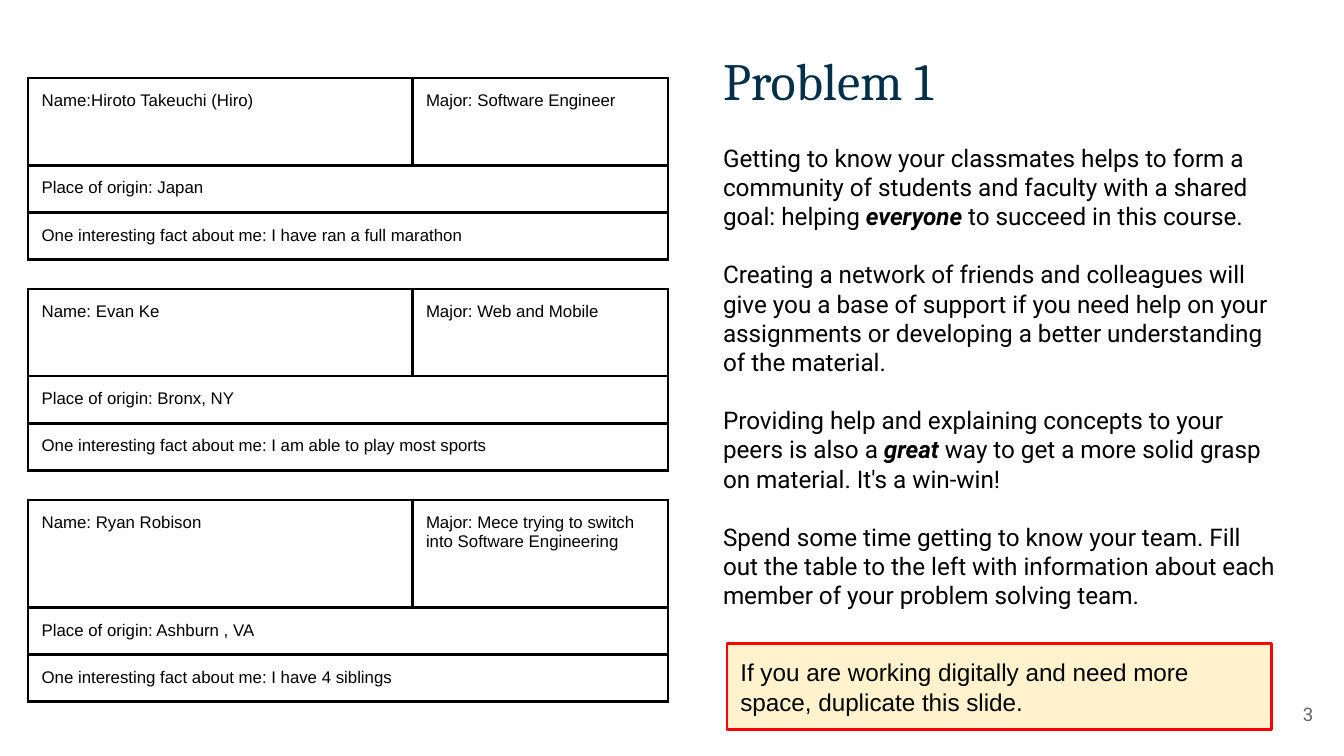
from lxml.etree import SubElement as Sub
from pptx import Presentation
from pptx.dml.color import RGBColor
from pptx.enum.shapes import MSO_SHAPE as Shape
from pptx.enum.text import MSO_ANCHOR as Anchor, MSO_AUTO_SIZE as Auto, PP_ALIGN as Align
from pptx.oxml.ns import qn
from pptx.util import Inches, Pt

BLACK = RGBColor(0, 0, 0)
NAVY = RGBColor(0x00, 0x2F, 0x4A)
GRAY = RGBColor(0x66, 0x66, 0x66)
CREAM = RGBColor(0xFF, 0xF2, 0xCC)
RED = RGBColor(0xFF, 0, 0)

WIDTH = 10
PAD = Inches(0.1)
GAP = 0.22
LINE = 0.35
TEAM = [
    (0.65, "Name:Hiroto Takeuchi (Hiro)", "Major: Software Engineer",
     "Place of origin: Japan",
     "One interesting fact about me: I have ran a full marathon"),
    (0.65, "Name: Evan Ke", "Major: Web and Mobile",
     "Place of origin: Bronx, NY",
     "One interesting fact about me: I am able to play most sports"),
    (0.8, "Name: Ryan Robison", "Major: Mece trying to switch into Software Engineering",
     "Place of origin: Ashburn , VA",
     "One interesting fact about me: I have 4 siblings"),
]
BODY = [
    ["Getting to know your classmates helps to form a community of students and "
     "faculty with a shared goal: helping ", "everyone", " to succeed in this course."],
    ["Creating a network of friends and colleagues will give you a base of support if "
     "you need help on your assignments or developing a better understanding of the material."],
    ["Providing help and explaining concepts to your peers is also a ", "great",
     " way to get a more solid grasp on material. It's a win-win!"],
    ["Spend some time getting to know your team. Fill out the table to the left with "
     "information about each member of your problem solving team."],
]


def place(shape, x, y, w, h):
    shape.left, shape.top = Inches(x), Inches(y)
    shape.width, shape.height = Inches(w), Inches(h)


def set_frame(frame, anchor):
    frame.word_wrap = True
    frame.auto_size = Auto.NONE
    frame.vertical_anchor = anchor
    frame.margin_left = frame.margin_right = PAD
    frame.margin_top = frame.margin_bottom = PAD


def add_run(para, text, size, face, color, strong=False):
    run = para.add_run()
    run.text = text
    font = run.font
    font.size, font.name = Pt(size), face
    font.color.rgb = color
    font.bold = font.italic = strong


def add_title(slide):
    title = slide.shapes.title
    place(title, 5.28, 0.26, 4.32, 0.7)
    set_frame(title.text_frame, Anchor.TOP)
    para = title.text_frame.paragraphs[0]
    para.alignment = Align.LEFT
    add_run(para, "Problem 1", 28, "Cambria", NAVY)


def add_body(slide):
    body = slide.placeholders[1]
    place(body, 5.28, 0.95, 4.32, 3.7)
    frame = body.text_frame
    set_frame(frame, Anchor.MIDDLE)
    for i, parts in enumerate(BODY):
        para = frame.add_paragraph() if i else frame.paragraphs[0]
        para.space_before = Pt(15.6 if i else 0)
        props = para._p.get_or_add_pPr()
        props.set("marL", "0")
        props.set("indent", "0")
        Sub(props, qn("a:buNone"))
        for j, text in enumerate(parts):
            add_run(para, text, 13, "Roboto", BLACK, j == 1)


def set_edges(cell, drawn):
    props = cell._tc.get_or_add_tcPr()
    for i, side in enumerate("LRTB"):
        edge = Sub(props, qn("a:ln" + side), w=str(Pt(1.5)))
        props.insert(i, edge)
        if side in drawn:
            fill = Sub(edge, qn("a:solidFill"))
            Sub(fill, qn("a:srgbClr"), val=str(BLACK))
        else:
            Sub(edge, qn("a:noFill"))


def fill_row(table, i, height, texts):
    table.rows[i].height = Inches(height)
    cells = [table.cell(i, j) for j in range(2)]
    for cell in cells:
        cell.fill.background()
        cell.margin_left = cell.margin_right = PAD
        cell.margin_top = cell.margin_bottom = PAD if texts else 0
        set_edges(cell, "LRTB" if texts else "TB")
        if not texts:
            Sub(cell.text_frame.paragraphs[0]._p, qn("a:endParaRPr"), sz="900")
    if len(texts) < 2:
        cells[0].merge(cells[1])
    for cell, text in zip(cells, texts):
        add_run(cell.text_frame.paragraphs[0], text, 9, "Arial", BLACK)


def add_team(slide):
    rows = []
    for tall, name, major, origin, fact in TEAM:
        if rows:
            rows.append((GAP, []))
        rows += [(tall, [name, major]), (LINE, [origin]), (LINE, [fact])]
    total = sum(height for height, _ in rows)
    table = slide.shapes.add_table(len(rows), 2, Inches(0.21), Inches(0.58),
                                   Inches(4.76), Inches(total)).table
    table.first_row = table.horz_banding = False
    for col, width in zip(table.columns, (2.86, 1.9)):
        col.width = Inches(width)
    for i, (height, texts) in enumerate(rows):
        fill_row(table, i, height, texts)


def add_note(slide):
    note = slide.shapes.add_shape(Shape.RECTANGLE, Inches(5.41), Inches(4.79),
                                  Inches(4.05), Inches(0.64))
    note.shadow.inherit = False
    note.fill.solid()
    note.fill.fore_color.rgb = CREAM
    note.line.color.rgb = RED
    note.line.width = Pt(1.5)
    set_frame(note.text_frame, Anchor.MIDDLE)
    para = note.text_frame.paragraphs[0]
    para.alignment = Align.LEFT
    add_run(para, "If you are working digitally and need more space, duplicate this slide.",
            13, "Arial", BLACK)


def add_number(slide):
    box = slide.shapes.add_textbox(Inches(9.27), Inches(5.1), Inches(0.6), Inches(0.43))
    set_frame(box.text_frame, Anchor.MIDDLE)
    para = box.text_frame.paragraphs[0]
    para.alignment = Align.RIGHT
    add_run(para, "3", 10, "Roboto", GRAY)


def main():
    deck = Presentation()
    deck.slide_width, deck.slide_height = Inches(WIDTH), Inches(WIDTH * 9 / 16)
    slide = deck.slides.add_slide(deck.slide_layouts[1])
    add_number(slide)
    add_title(slide)
    add_body(slide)
    add_team(slide)
    add_note(slide)
    deck.save("out.pptx")


if __name__ == "__main__":
    main()
